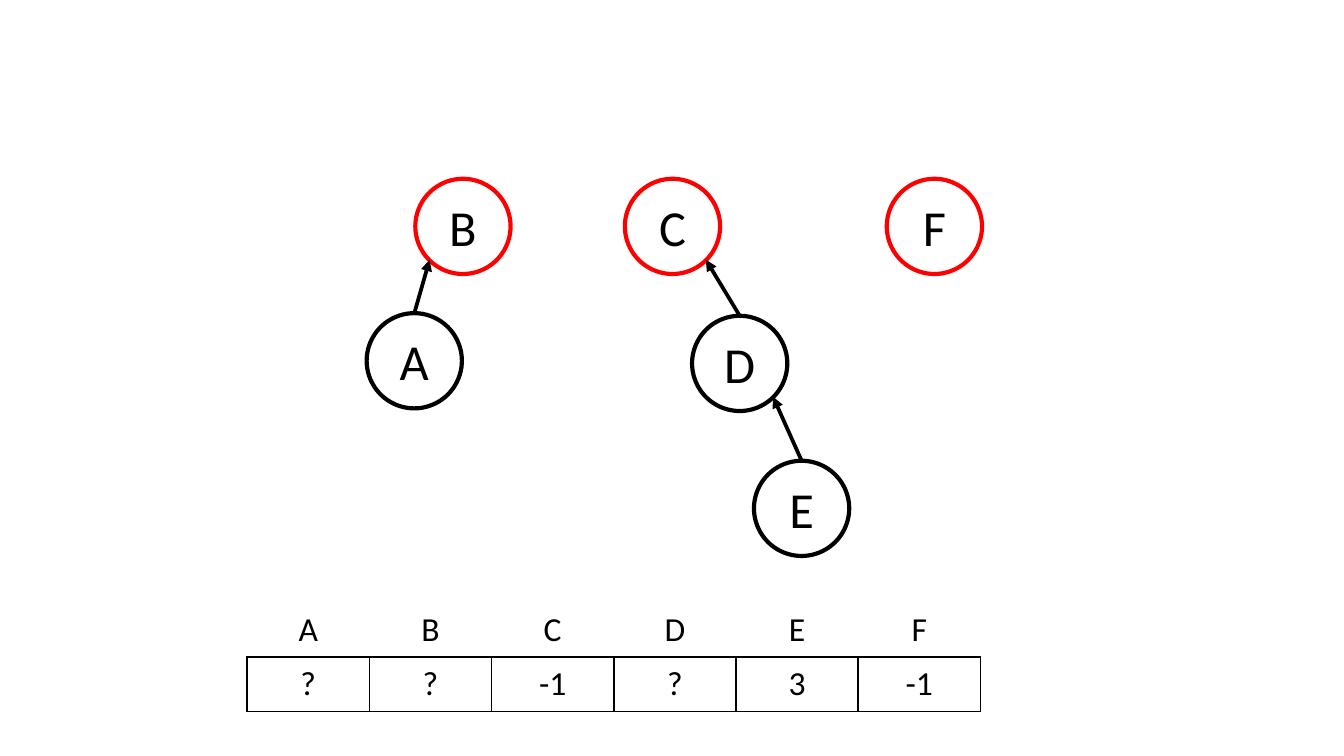
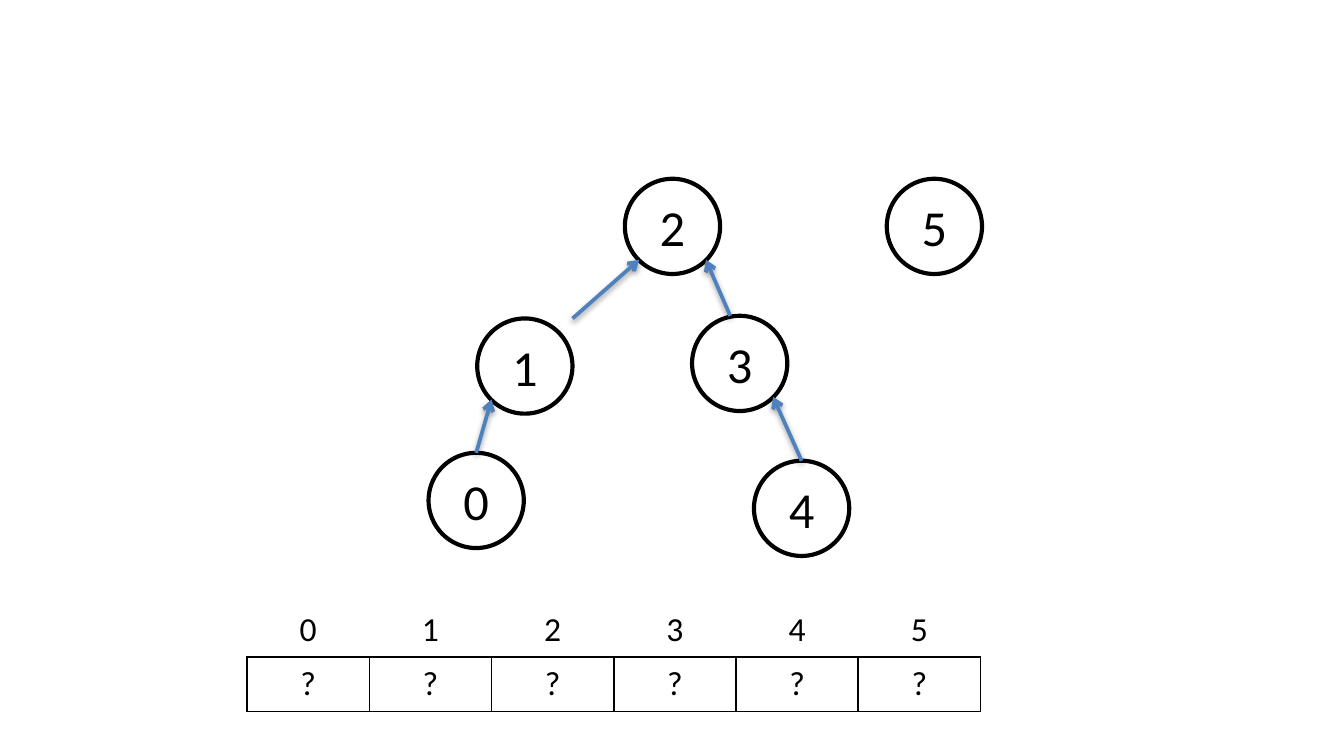
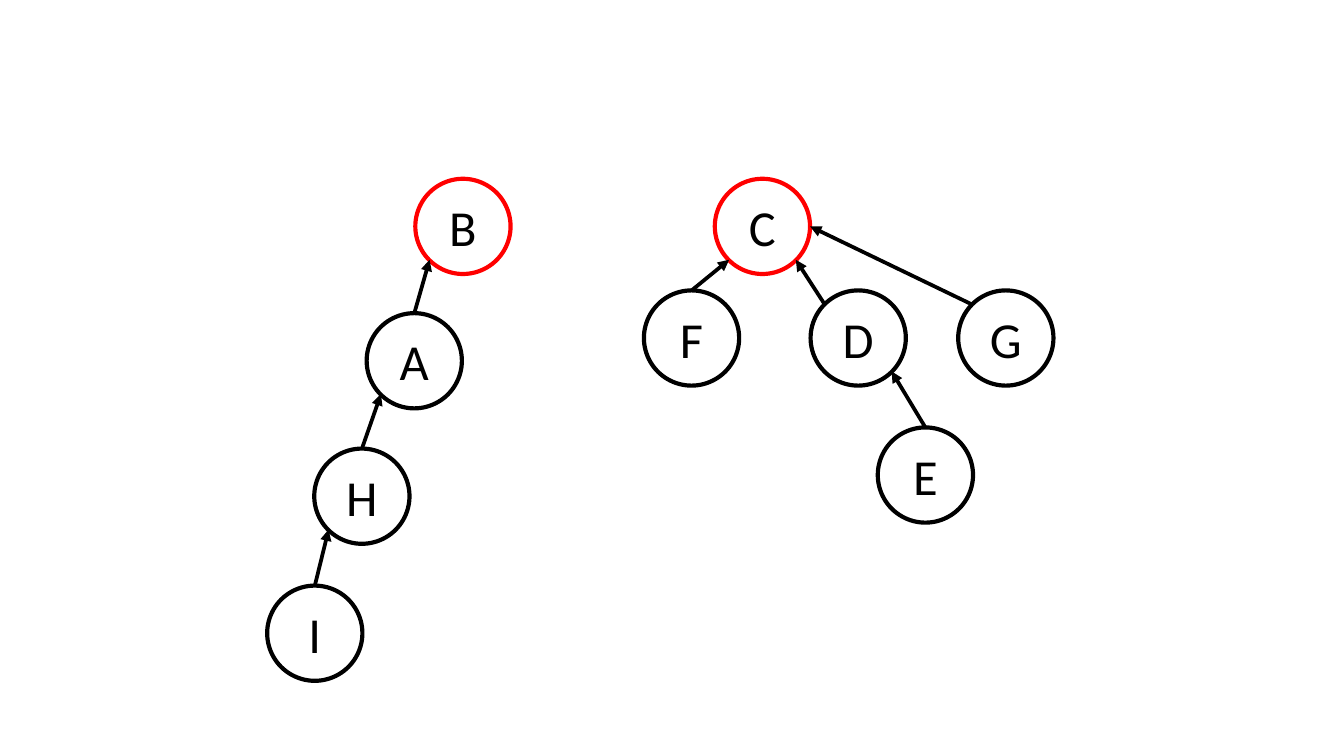
import dataclasses

import lxml.etree
import pptx
import pptx.dml.color
import pptx.enum.shapes
import pptx.enum.text
import pptx.oxml.ns
import pptx.util

Cm = pptx.util.Cm
Pt = pptx.util.Pt
qn = pptx.oxml.ns.qn


@dataclasses.dataclass(frozen=True)
class Theme:
    font: str = "Calibri"
    ink: str = "000000"
    root: str = "FF0000"
    accent: str = "4F81BD"
    node_size: int = 27
    cell_size: int = 18
    node_line: float = 2.25
    arrow_line: float = 2
    border: float = 1


THEME = Theme()

# Shared geometry, in centimetres
DIAMETER = 1.8
TABLE_LEFT, LABELS_TOP, VALUES_TOP = 4.67, 11.4, 12.42
COL_WIDTH, ROW_HEIGHT = 2.31, 1.02

# Points of a node where arrows start or end, as fractions of its box
ANCHORS = {
    "top": (0.5, 0), "near top": (0.4, 0), "corner": (1, 0),
    "nw": (0.15, 0.15), "sw": (0.15, 0.85), "se": (0.85, 0.85),
    "right": (1, 0.5),
}


def rgb(color):
    return pptx.dml.color.RGBColor.from_string(color)


def add_text(tf, text, size):
    p = tf.paragraphs[0]
    p.alignment = pptx.enum.text.PP_ALIGN.CENTER
    r = p.add_run()
    r.text = text
    r.font.name = THEME.font
    r.font.size = Pt(size)
    r.font.color.rgb = rgb(THEME.ink)


def add_node(s, name, left, top, color):
    sp = s.shapes.add_shape(pptx.enum.shapes.MSO_SHAPE.OVAL,
                            Cm(left), Cm(top), Cm(DIAMETER), Cm(DIAMETER))
    sp.shadow.inherit = False
    sp.fill.background()
    sp.line.color.rgb = rgb(color)
    sp.line.width = Pt(THEME.node_line)
    tf = sp.text_frame
    tf.vertical_anchor = pptx.enum.text.MSO_ANCHOR.MIDDLE
    tf.margin_left = tf.margin_right = Cm(0.19)
    tf.margin_top = tf.margin_bottom = Cm(0.1)
    add_text(tf, name, THEME.node_size)


def anchor_point(position, anchor):
    return [Cm(start + DIAMETER * part)
            for start, part in zip(position, ANCHORS[anchor])]


def add_shadow(effects):
    shadow = lxml.etree.SubElement(effects, qn("a:outerShdw"), blurRad="40000",
                                   dist="20000", dir="5400000", rotWithShape="0")
    color = lxml.etree.SubElement(shadow, qn("a:srgbClr"), val=THEME.ink)
    lxml.etree.SubElement(color, qn("a:alpha"), val="38000")


def add_arrow(s, start, end, color, head, shadow):
    line = s.shapes.add_connector(pptx.enum.shapes.MSO_CONNECTOR.STRAIGHT, *start, *end)
    line.line.color.rgb = rgb(color)
    line.line.width = Pt(THEME.arrow_line)
    sp_pr = line._element.spPr
    lxml.etree.SubElement(sp_pr.find(qn("a:ln")), qn("a:tailEnd"), type=head)
    effects = lxml.etree.SubElement(sp_pr, qn("a:effectLst"))
    if shadow:
        add_shadow(effects)


def add_forest(s, nodes, edges, roots="", color=THEME.ink, head="triangle", shadow=False):
    """Draw nodes, then an arrow for each (child, anchor, parent, anchor)."""
    for name, position in nodes.items():
        add_node(s, name, *position, THEME.root if name in roots else THEME.ink)
    for child, start, parent, end in edges:
        add_arrow(s, anchor_point(nodes[child], start), anchor_point(nodes[parent], end),
                  color, head, shadow)


def set_borders(cell, visible):
    tc_pr = cell._tc.get_or_add_tcPr()
    for side in ("lnL", "lnR", "lnT", "lnB"):
        ln = lxml.etree.SubElement(tc_pr, qn("a:" + side), w=str(Pt(THEME.border)))
        if visible:
            fill = lxml.etree.SubElement(ln, qn("a:solidFill"))
            lxml.etree.SubElement(fill, qn("a:srgbClr"), val=THEME.ink)
        else:
            lxml.etree.SubElement(ln, qn("a:noFill"))


def add_row(s, top, values, bordered):
    frame = s.shapes.add_table(1, len(values), Cm(TABLE_LEFT), Cm(top),
                               Cm(COL_WIDTH * len(values)), Cm(ROW_HEIGHT))
    table = frame.table
    table.first_row = table.horz_banding = False
    for column, value in enumerate(values):
        table.columns[column].width = Cm(COL_WIDTH)
        cell = table.cell(0, column)
        set_borders(cell, bordered)
        cell.fill.background()
        add_text(cell.text_frame, value, THEME.cell_size)


def add_parent_array(s, labels, parents):
    add_row(s, LABELS_TOP, labels, False)
    add_row(s, VALUES_TOP, parents, True)


def lettered_forest(s):
    nodes = {"A": (6.93, 5.92), "B": (7.85, 3.38), "C": (11.81, 3.38),
             "D": (13.08, 5.97), "E": (14.25, 8.71), "F": (16.76, 3.38)}
    edges = [("A", "top", "B", "sw"), ("D", "top", "C", "se"), ("E", "top", "D", "se")]
    add_forest(s, nodes, edges, roots="BCF")
    add_parent_array(s, "ABCDEF", ["?", "?", "-1", "?", "3", "-1"])


def numbered_forest(s):
    nodes = {"0": (8.1, 8.56), "1": (9.02, 6.02), "2": (11.81, 3.38),
             "3": (13.08, 5.97), "4": (14.25, 8.71), "5": (16.76, 3.38)}
    edges = [("4", "top", "3", "se"), ("3", "near top", "2", "se"),
             ("0", "top", "1", "sw"), ("1", "corner", "2", "sw")]
    add_forest(s, nodes, edges, color=THEME.accent, head="arrow", shadow=True)
    add_parent_array(s, "012345", "??????")


def two_trees(s):
    nodes = {"A": (6.93, 5.92), "B": (7.85, 3.38), "D": (15.32, 5.49),
             "E": (16.59, 8.08), "F": (12.17, 5.49), "C": (13.51, 3.38),
             "G": (18.11, 5.49), "H": (5.94, 8.48), "I": (5.05, 11.07)}
    edges = [("A", "top", "B", "sw"), ("E", "top", "D", "se"),
             ("F", "top", "C", "sw"), ("D", "nw", "C", "se"),
             ("G", "nw", "C", "right"), ("H", "top", "A", "sw"),
             ("I", "top", "H", "sw")]
    add_forest(s, nodes, edges, roots="BC")


def main():
    prs = pptx.Presentation()
    prs.slide_width, prs.slide_height = Cm(25.4), Cm(14.29)
    blank = prs.slide_layouts[6]
    for build in (lettered_forest, numbered_forest, two_trees):
        build(prs.slides.add_slide(blank))
    prs.save("out.pptx")


main()
